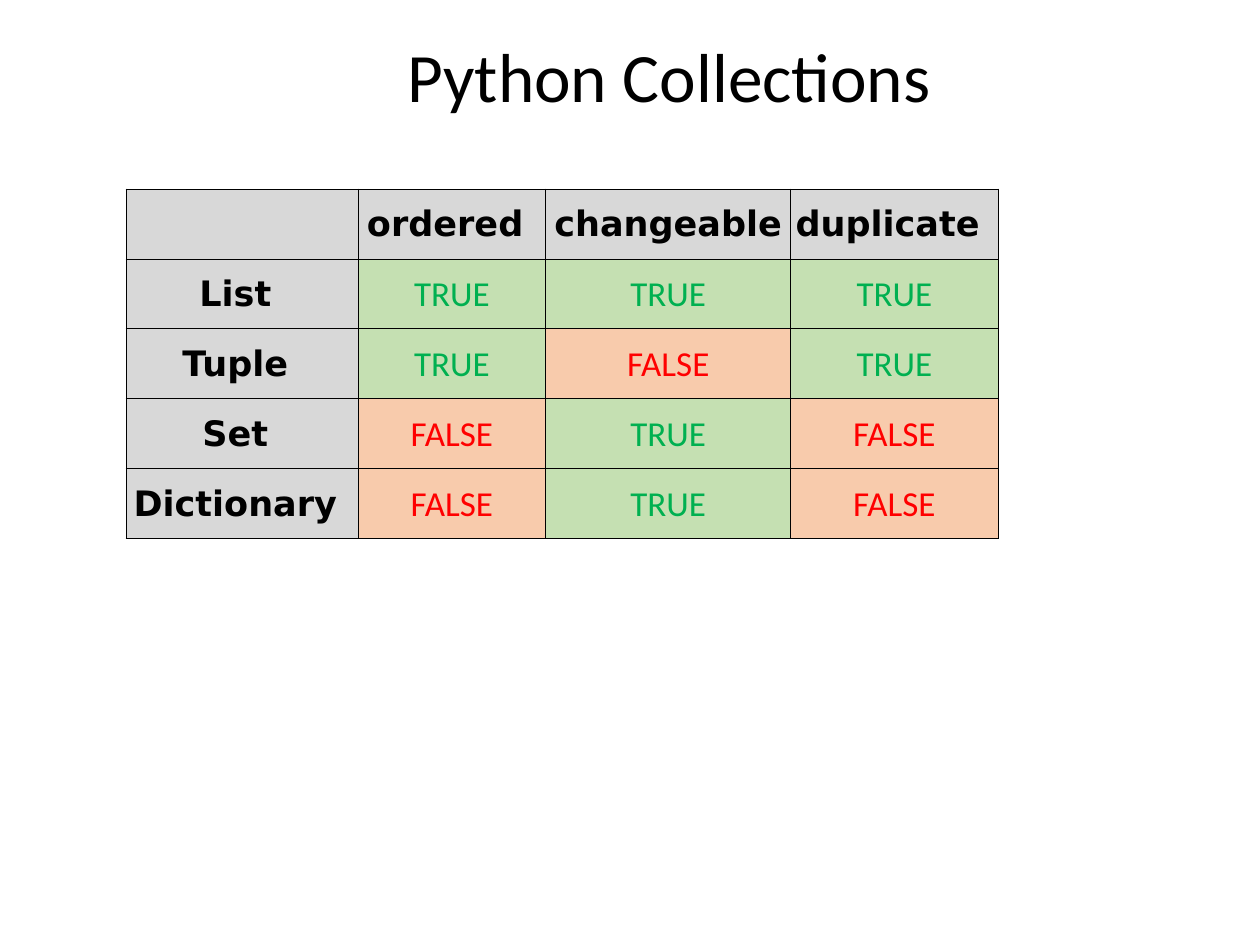
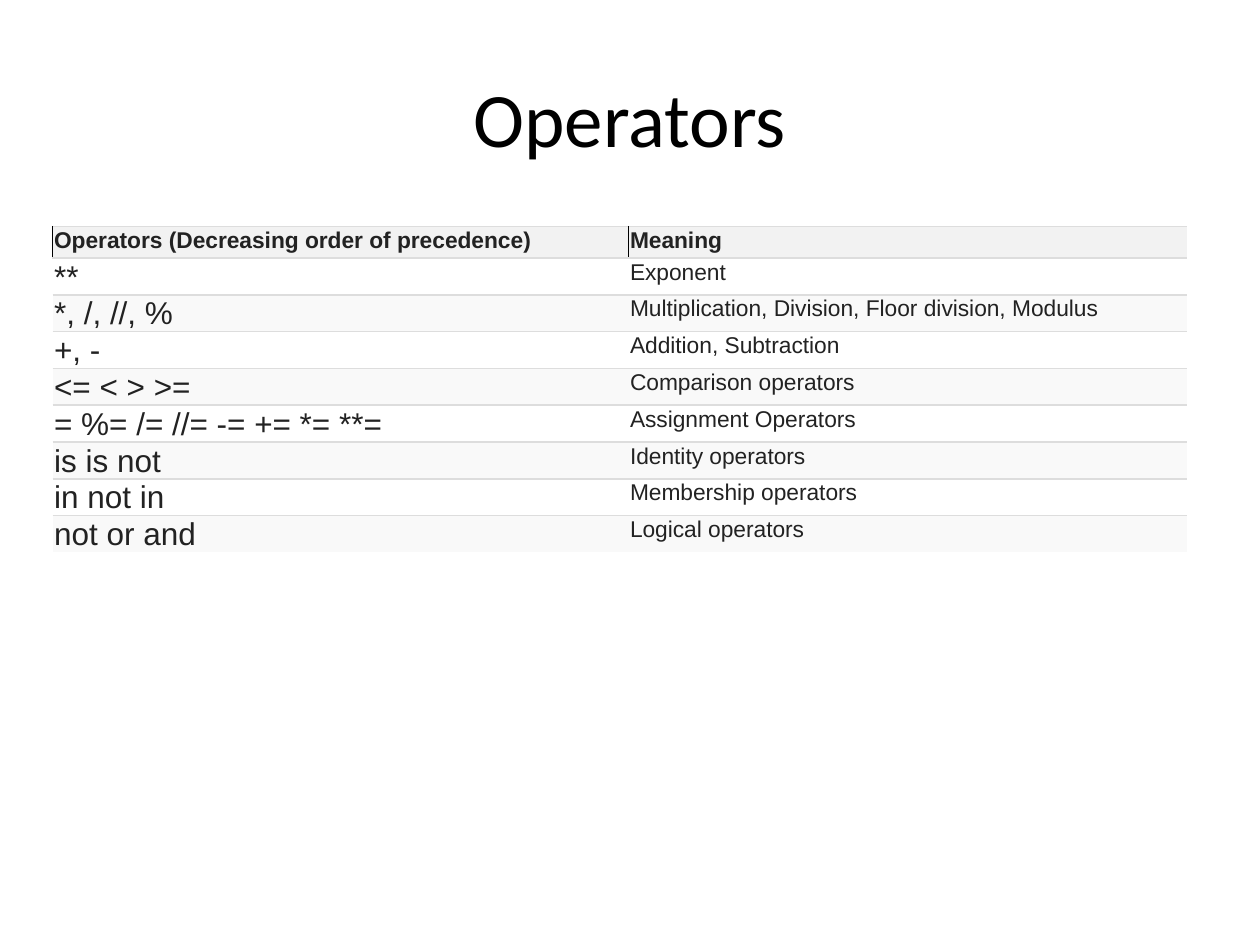
from lxml import etree
from pptx import Presentation
from pptx import util as u
from pptx.dml.color import RGBColor
from pptx.enum import text
from pptx.oxml import ns

BLACK = RGBColor(0x00, 0x00, 0x00)
WHITE = RGBColor(0xFF, 0xFF, 0xFF)
LABEL_GREY = RGBColor(0xD8, 0xD8, 0xD8)
TRUE_TEXT = RGBColor(0x00, 0xB0, 0x50)
TRUE_FILL = RGBColor(0xC5, 0xE0, 0xB2)
FALSE_TEXT = RGBColor(0xFF, 0x00, 0x00)
FALSE_FILL = RGBColor(0xF8, 0xCB, 0xAC)
INK = RGBColor(0x22, 0x22, 0x22)
HEADER_GREY = RGBColor(0xF2, 0xF2, 0xF2)
STRIPE_GREY = RGBColor(0xF9, 0xF9, 0xF9)
RULE_GREY = RGBColor(0xDD, 0xDD, 0xDD)

TITLE_BOX = (1.27, 0.76, 22.86, 3.18)
CELL_INSET = 0.03
LABEL_GAP = 0.27
EDGES = "LRTB"

COLLECTION_PROPERTIES = ["ordered", "changeable", "duplicate"]
COLLECTIONS = {
    "List": [True, True, True],
    "Tuple": [True, False, True],
    "Set": [False, True, False],
    "Dictionary": [False, True, False],
}

OPERATOR_HEADER = ("Operators (Decreasing order of precedence)", "Meaning")
OPERATORS = [
    ("**", "Exponent"),
    ("*, /, //, %", "Multiplication, Division, Floor division, Modulus"),
    ("+, -", "Addition, Subtraction"),
    ("<= < > >=", "Comparison operators"),
    ("= %= /= //= -= += *= **=", "Assignment Operators"),
    ("is is not", "Identity operators"),
    ("in not in", "Membership operators"),
    ("not or and", "Logical operators"),
]


def add_page(deck, title, size, shift_right=0, shift_up=0):
    page = deck.slides.add_slide(deck.slide_layouts[5])
    box = page.shapes.title
    box.left, box.top, box.width, box.height = map(u.Cm, TITLE_BOX)
    frame = box.text_frame
    frame.text = title
    frame.auto_size = text.MSO_AUTO_SIZE.NONE
    frame.vertical_anchor = text.MSO_ANCHOR.MIDDLE
    frame.margin_left = u.Cm(0.25 + 2 * shift_right)
    frame.margin_bottom = u.Cm(0.13 + 2 * shift_up)
    para = frame.paragraphs[0]
    para.alignment = text.PP_ALIGN.CENTER
    set_font(para.font, "Calibri", size, BLACK)
    return page


def set_font(font, name, size, color, bold=False):
    font.name = name
    font.size = u.Pt(size)
    font.color.rgb = color
    font.bold = bold


def add_grid(page, left, top, widths, heights):
    frame = page.shapes.add_table(
        len(heights), len(widths), u.Cm(left), u.Cm(top),
        u.Cm(sum(widths)), u.Cm(sum(heights)))
    table = frame.table
    table.first_row = table.horz_banding = False
    for column, width in zip(table.columns, widths):
        column.width = u.Cm(width)
    for row, height in zip(table.rows, heights):
        row.height = u.Cm(height)
    return table


def set_borders(cell, borders):
    properties = cell._tc.get_or_add_tcPr()
    for edge in EDGES:
        line = etree.SubElement(properties, ns.qn(f"a:ln{edge}"))
        if edge in borders:
            color, width = borders[edge]
            line.set("w", str(u.Pt(width)))
            fill = etree.SubElement(line, ns.qn("a:solidFill"))
            etree.SubElement(fill, ns.qn("a:srgbClr"), val=str(color))
        else:
            etree.SubElement(line, ns.qn("a:noFill"))


def fill_cell(cell, words, fill, borders, font, align, anchor, gap=0):
    set_borders(cell, borders)
    cell.fill.solid()
    cell.fill.fore_color.rgb = fill
    cell.margin_left = cell.margin_top = u.Cm(CELL_INSET)
    cell.margin_right = u.Cm(CELL_INSET + gap)
    cell.margin_bottom = 0
    cell.vertical_anchor = anchor
    cell.text = words
    para = cell.text_frame.paragraphs[0]
    para.alignment = align
    set_font(para.font, *font)


def draw_collections(page, left, top):
    table = add_grid(page, left, top, [4.68, 3.78, 4.94, 4.18], [1.41] * 5)
    borders = dict.fromkeys(EDGES, (BLACK, 0.5))
    layout = (text.PP_ALIGN.CENTER, text.MSO_ANCHOR.MIDDLE)

    def label(row, column, words):
        gap = 0 if words == "changeable" else LABEL_GAP
        fill_cell(table.cell(row, column), words, LABEL_GREY, borders,
                  ("DejaVu Sans", 20, BLACK, True), *layout, gap)

    for column, name in enumerate(["", *COLLECTION_PROPERTIES]):
        label(0, column, name)
    for row, (name, answers) in enumerate(COLLECTIONS.items(), 1):
        label(row, 0, name)
        for column, answer in enumerate(answers, 1):
            color, fill = (TRUE_TEXT, TRUE_FILL) if answer else (FALSE_TEXT, FALSE_FILL)
            fill_cell(table.cell(row, column), str(answer).upper(), fill, borders,
                      ("Calibri", 20, color), *layout)


def draw_operators(page, left, top):
    heights = [0.63] + [0.74] * len(OPERATORS)
    table = add_grid(page, left, top, [11.61, 11.25], heights)
    rule, bar = (RULE_GREY, 1), (BLACK, 1)
    for row, entries in enumerate([OPERATOR_HEADER, *OPERATORS]):
        header = row == 0
        fill = HEADER_GREY if header else (WHITE, STRIPE_GREY)[(row + 1) % 2]
        for column, words in enumerate(entries):
            borders = {"T": rule}
            if row < len(OPERATORS):
                borders["B"] = rule
            if header:
                borders["L"] = bar
                if column == 0:
                    borders["R"] = bar
            size = 13 if header or column == 1 else 18
            fill_cell(table.cell(row, column), words, fill, borders,
                      ("Arial", size, INK, header),
                      text.PP_ALIGN.LEFT, text.MSO_ANCHOR.TOP)


def main():
    deck = Presentation()
    deck.slide_width, deck.slide_height = u.Cm(25.4), u.Cm(19.05)
    draw_collections(
        add_page(deck, "Python Collections", 39.6, shift_right=0.79, shift_up=0.85),
        2.54, 3.81)
    draw_operators(add_page(deck, "Operators", 44), 1.06, 4.57)
    deck.save("out.pptx")


if __name__ == "__main__":
    main()
